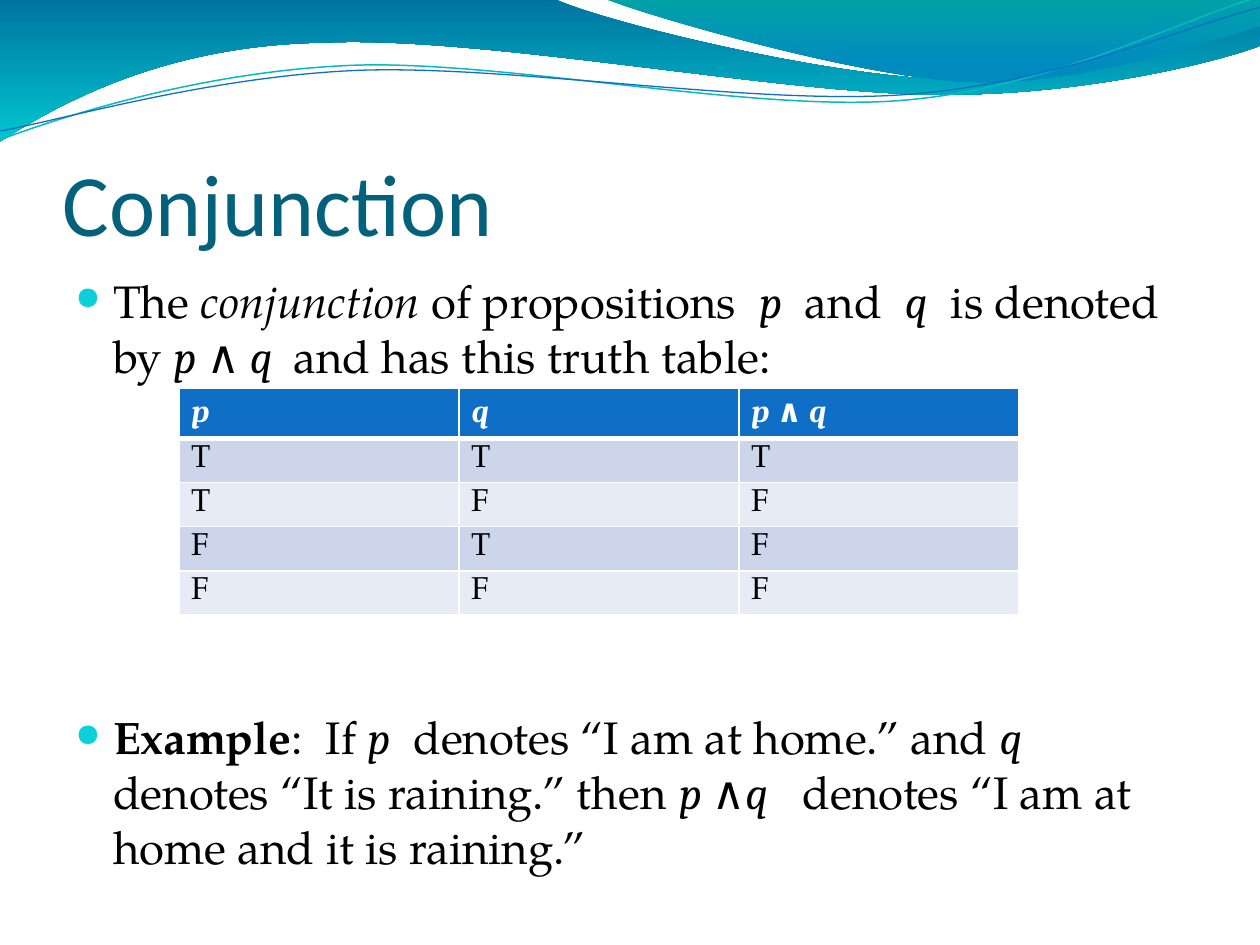
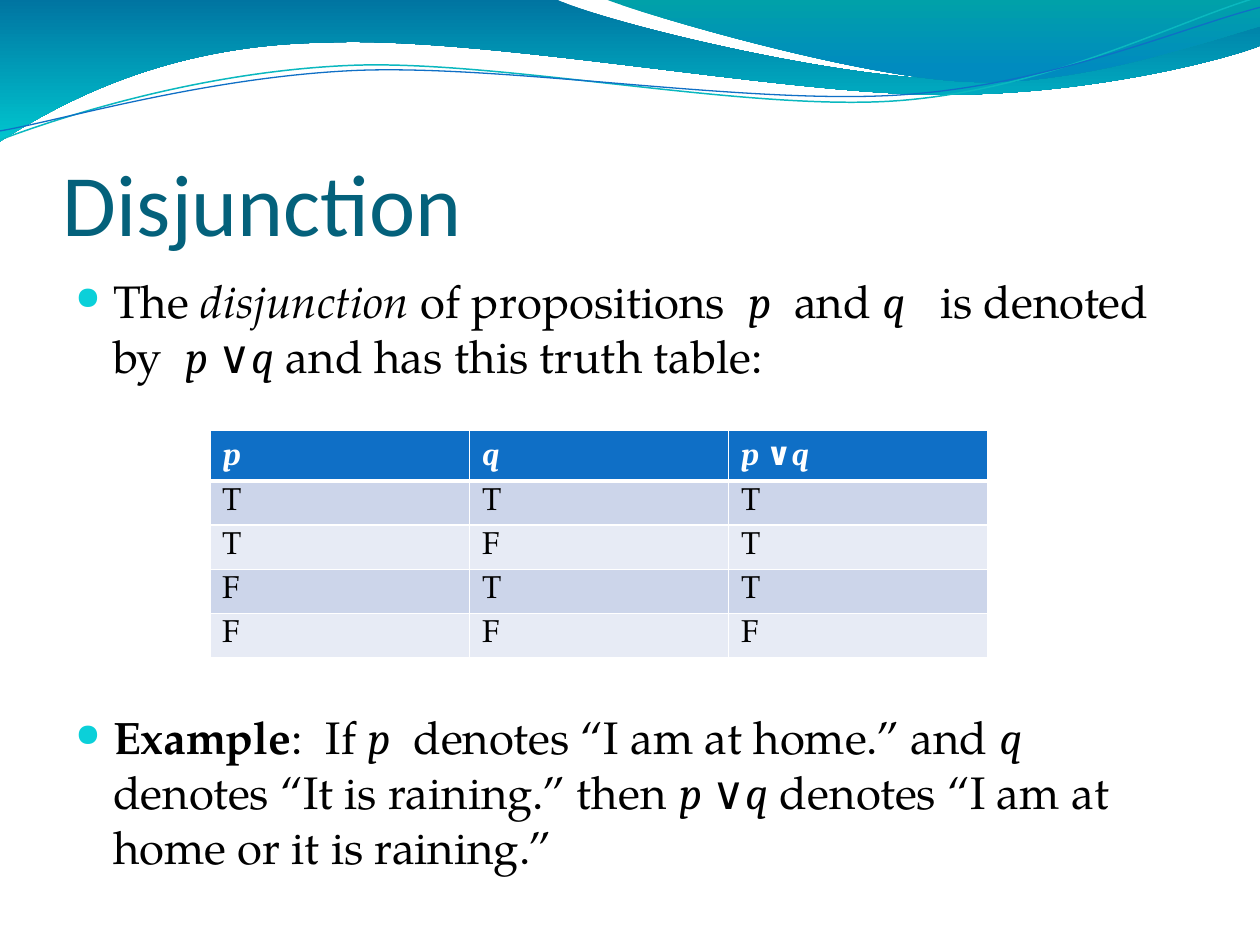
from itertools import product

from lxml import etree
from pptx import Presentation
from pptx import util as u
from pptx.dml import color
from pptx.enum import text
from pptx.oxml import ns

TEAL, BLUE, BULLET = "04617B", "0F6FC6", "0BD0D9"
BLACK, WHITE = "000000", "FFFFFF"
BANDS = ["E7EBF5", "CCD5EA"]
BODY, MATH, HEAD = "TeX Gyre Pagella", "Cambria", "Calibri"

# style key: font, bold, italic
STYLES = {
    "n": (BODY, False, False),
    "b": (BODY, True, False),
    "i": (BODY, False, True),
    "m": (MATH, False, True),
    "s": (MATH, False, False),
    "M": (MATH, True, True),
    "S": (MATH, True, False),
    "h": (HEAD, False, False),
}


def rgb(hex_code):
    """Return the colour for a hex string."""
    return color.RGBColor.from_string(hex_code)


def write(p, pieces, size, hex_code=BLACK):
    """Fill a paragraph with (style key, text) runs."""
    for key, words in pieces:
        r = p.add_run()
        r.text = words
        r.font.name, r.font.bold, r.font.italic = STYLES[key]
        r.font.size = u.Pt(size)
        r.font.color.rgb = rgb(hex_code)


# Wave outlines in cm: a start point, then lines (2 numbers) and Bezier curves (6).
# Filled waves carry gradient stops (position, colour, opacity %), others a line.
WAVES = [
    {"start": (0, 0),
     "steps": [(11.18, -.03), (12.09, .43, 16.87, 1.6, 19.25, 1.6),
               (21.67, 1.6, 24.33, .66, 25.4, .23), (25.43, .91),
               (24.97, 1.12, 22.1, 1.93, 18.95, 1.91),
               (15.8, 1.91, 9.7, .71, 6.53, .86),
               (3.28, .91, 1.17, 2.11, -.03, 2.87)],
     "stops": [(0, "0074A1", 45), (1, "00C6CF", 55)]},
    {"start": (12.17, -.03),
     "steps": [(12.93, .28, 17.32, 1.57, 19.53, 1.65),
               (21.74, 1.75, 24.41, .81, 25.4, .53), (25.4, 0)],
     "stops": [(0, "00A1A9", 30), (.8, "008BBF", 45)]},
    {"start": (0, 2.82),
     "steps": [(1.22, 2.36, 4.01, 1.45, 7.04, 1.32),
               (10.03, 1.19, 15.06, 2.26, 18.11, 2.03),
               (21.16, 1.8, 23.83, .38, 25.35, -.05)],
     "line": ("0AB8BF", .85)},
    {"start": (0, 2.64),
     "steps": [(1.19, 2.44, 4.17, 1.55, 7.19, 1.42),
               (10.24, 1.3, 15.16, 2.13, 18.21, 1.91),
               (21.23, 1.7, 23.9, .53, 25.4, .15)],
     "line": (BLUE, .75)},
]

SLIDES = [
    {"title": "Conjunction",
     "intro": [("n", "The "), ("i", "conjunction"), ("n", " of propositions  "),
               ("m", "p"), ("n", "  and  "), ("m", "q"),
               ("n", "  is denoted by "), ("m", "p "), ("s", "∧ "),
               ("m", "q  "), ("n", "and has this truth table:")],
     "result": [("m", "p "), ("s", "∧"), ("m", "q"),
                ("n", "   denotes “I am at home and it is raining.”")],
     "header": [("M", "p "), ("S", "∧ "), ("M", "q")],
     "rule": all, "body_height": 12.19,
     "left": 3.61, "top": 7.82, "width": 16.93, "header_height": .84},
    {"title": "Disjunction",
     "intro": [("n", "The "), ("i", "disjunction"), ("n", " of propositions  "),
               ("m", "p"), ("n", "  and "), ("m", "q"),
               ("n", "   is denoted by  "), ("m", "p "), ("s", "∨"),
               ("m", "q"), ("n", " and has this truth table:")],
     "result": [("m", "p "), ("s", "∨"), ("m", "q"),
                ("n", " denotes “I am at home or it is raining.”")],
     "header": [("M", "p "), ("S", "∨"), ("M", "q")],
     "rule": any, "body_height": 13.03,
     "left": 4.24, "top": 8.68, "width": 15.67, "header_height": .58},
]
EXAMPLE = [("b", "Example"), ("n", ":  If "), ("m", "p"),
           ("n", "  denotes “I am at home.” and "), ("m", "q"),
           ("n", "  denotes “It is raining.” then ")]

prs = Presentation()
prs.slide_width, prs.slide_height = u.Cm(25.4), u.Cm(19.05)
blank = prs.slide_layouts[6]
slides = [prs.slides.add_slide(blank) for _ in SLIDES]

# Waves: drawn once, then moved to the layout that both slides share
for wave in WAVES:
    x, y = wave["start"]
    points = [(step[k] * 100, step[k + 1] * 100)
              for step in wave["steps"] for k in range(0, len(step), 2)]
    builder = slides[0].shapes.build_freeform(x * 100, y * 100, u.Cm(.01))
    builder.add_line_segments(points, close="stops" in wave)
    sp = builder.convert_to_shape()
    sp.shadow.inherit = False

    # Three points in one step are the control points of a curve
    nodes = list(sp.element.iter(ns.qn("a:lnTo")))
    for step in wave["steps"]:
        count = len(step) // 2
        group, nodes = nodes[:count], nodes[count:]
        if count == 3:
            curve = etree.Element(ns.qn("a:cubicBezTo"))
            group[0].addprevious(curve)
            for node in group:
                curve.append(node[0])
                node.getparent().remove(node)

    if "stops" in wave:
        sp.line.fill.background()
        sp.fill.gradient()
        sp.fill.gradient_angle = 270
        colours = sp.element.spPr.iter(ns.qn("a:srgbClr"))
        for stop, (position, hex_code, _) in zip(sp.fill.gradient_stops, wave["stops"]):
            stop.position = position
            stop.color.rgb = rgb(hex_code)
        for clr, (_, _, opacity) in zip(colours, wave["stops"]):
            etree.SubElement(clr, ns.qn("a:alpha"), val=str(opacity * 1000))
    else:
        hex_code, width = wave["line"]
        sp.fill.background()
        sp.line.color.rgb = rgb(hex_code)
        sp.line.width = u.Pt(width)
    blank.shapes.element.append(sp.element)

for slide, page in zip(slides, SLIDES):
    # Title
    tf = slide.shapes.add_textbox(u.Cm(1.27), u.Cm(1.95), u.Cm(22.86), u.Cm(3.18)).text_frame
    tf.word_wrap = True
    tf.vertical_anchor = text.MSO_ANCHOR.BOTTOM
    tf.margin_left = tf.margin_right = tf.margin_bottom = 0
    write(tf.paragraphs[0], [("h", page["title"])], 50, TEAL)

    # Two bullets, with room for the truth table between them
    tf = slide.shapes.add_textbox(u.Cm(1.27), u.Cm(5.38), u.Cm(22.86),
                                  u.Cm(page["body_height"])).text_frame
    tf.word_wrap = True
    bullets = [(tf.paragraphs[0], page["intro"], 5.2),
               (tf.add_paragraph(), EXAMPLE + page["result"], 187)]
    for p, pieces, space in bullets:
        write(p, pieces, 26)
        p.space_before = u.Pt(space)
        pPr = p._p.get_or_add_pPr()
        pPr.set("marL", str(u.Cm(.76)))
        pPr.set("indent", str(u.Cm(-.76)))
        bu_clr = etree.SubElement(pPr, ns.qn("a:buClr"))
        etree.SubElement(bu_clr, ns.qn("a:srgbClr"), val=BULLET)
        etree.SubElement(pPr, ns.qn("a:buSzPct"), val="70000")
        etree.SubElement(pPr, ns.qn("a:buChar"), char="●")

    # Truth table
    rows = [[[("M", "p")], [("M", "q")], page["header"]]]
    for pair in product((True, False), repeat=2):
        values = [*pair, page["rule"](pair)]
        rows.append([[("n", "T" if value else "F")] for value in values])
    height = page["header_height"] + 4 * .84
    table = slide.shapes.add_table(5, 3, u.Cm(page["left"]), u.Cm(page["top"]),
                                   u.Cm(page["width"]), u.Cm(height)).table
    for col in table.columns:
        col.width = u.Cm(page["width"] / 3)
    for i, row in enumerate(rows):
        table.rows[i].height = u.Cm(.84 if i else page["header_height"])
        for j, pieces in enumerate(row):
            cell = table.cell(i, j)
            write(cell.text_frame.paragraphs[0], pieces, 18, BLACK if i else WHITE)
            if i:
                cell.margin_bottom = 0
            tcPr = cell._tc.get_or_add_tcPr()
            thick = {0: "lnB", 1: "lnT"}.get(i)
            for side in ("lnL", "lnR", "lnT", "lnB"):
                ln = etree.SubElement(tcPr, ns.qn("a:" + side),
                                      w=str(u.Pt(3 if side == thick else 1)))
                fill = etree.SubElement(ln, ns.qn("a:solidFill"))
                etree.SubElement(fill, ns.qn("a:srgbClr"), val=WHITE)
            cell.fill.solid()
            cell.fill.fore_color.rgb = rgb(BANDS[i % 2] if i else BLUE)

prs.save("out.pptx")
